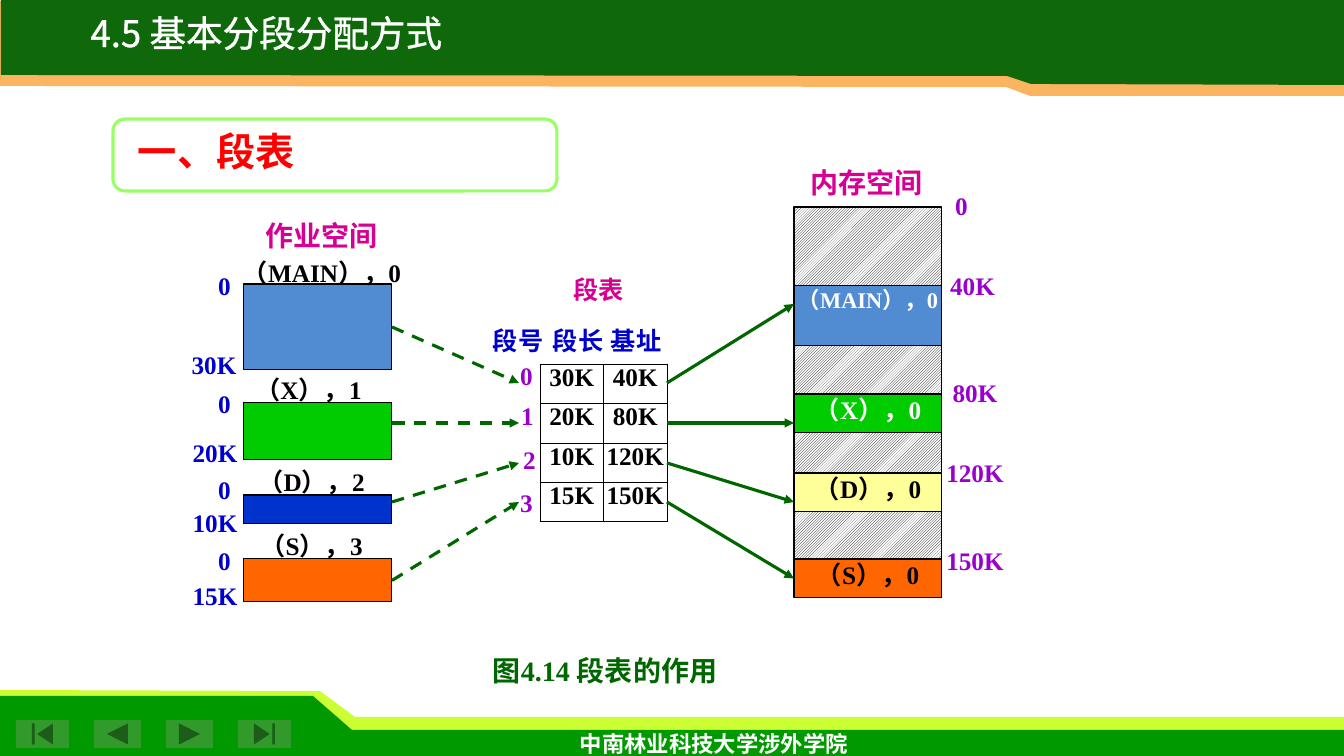
from lxml import etree
from pptx import Presentation
from pptx.dml.color import RGBColor
from pptx.enum.dml import MSO_LINE, MSO_PATTERN
from pptx.enum.shapes import MSO_CONNECTOR, MSO_SHAPE
from pptx.enum.text import MSO_ANCHOR, PP_ALIGN
from pptx.oxml.ns import qn
from pptx.util import Emu, Pt

RECT, ROUNDED = MSO_SHAPE.RECTANGLE, MSO_SHAPE.ROUNDED_RECTANGLE
BUTTONS = [  # left, width, shape
    (16, 53, MSO_SHAPE.ACTION_BUTTON_BEGINNING),
    (94, 47, MSO_SHAPE.ACTION_BUTTON_BACK_OR_PREVIOUS),
    (166, 47, MSO_SHAPE.ACTION_BUTTON_FORWARD_OR_NEXT),
    (238, 53, MSO_SHAPE.ACTION_BUTTON_END),
]
STRAIGHT, DASH = MSO_CONNECTOR.STRAIGHT, MSO_LINE.DASH
HATCH = MSO_PATTERN.LIGHT_UPWARD_DIAGONAL
CENTER, LEFT, TOP = PP_ALIGN.CENTER, PP_ALIGN.LEFT, MSO_ANCHOR.TOP
LEFT_SIDE, RIGHT_SIDE = 1, 3

BLACK = RGBColor(0x00, 0x00, 0x00)
WHITE = RGBColor(0xFF, 0xFF, 0xFF)
LIME = RGBColor(0xCC, 0xFF, 0x33)
FOOTER_GREEN = RGBColor(0x00, 0x99, 0x00)
BUTTON_GREEN = RGBColor(0x32, 0x9A, 0x2A)
ORANGE_BAND = RGBColor(0xFB, 0xB5, 0x61)
HEADER_GREEN = RGBColor(0x0F, 0x69, 0x0B)
FRAME_GREEN = RGBColor(0x99, 0xFF, 0x66)
ARROW_GREEN = RGBColor(0x00, 0x66, 0x00)
SKY = RGBColor(0x51, 0x8C, 0xD3)
GREEN = RGBColor(0x00, 0xCC, 0x00)
COBALT = RGBColor(0x00, 0x33, 0xCC)
ORANGE = RGBColor(0xFF, 0x66, 0x00)
CREAM = RGBColor(0xFF, 0xFF, 0x99)
MAGENTA = RGBColor(0xD6, 0x00, 0x93)
BLUE = RGBColor(0x00, 0x00, 0xCC)
PURPLE = RGBColor(0x99, 0x00, 0xCC)
RED = RGBColor(0xFF, 0x00, 0x00)

SERIF, HAN = "Times New Roman", "Noto Sans CJK SC"


def px(value):
    return Emu(round(value * 914400 / 100.8))


class Page:
    """Holds the text style and the slide being drawn."""

    def __init__(self, deck):
        self.style = {"size": Pt(18), "bold": True, "name": SERIF}
        self.page = deck.slides.add_slide(deck.slide_layouts[6])
        self.shapes = self.page.shapes

    def add_words(self, para, words, color, align=CENTER, **formats):
        para.alignment = align
        span = para.add_run()
        span.text = words
        for key, value in {**self.style, **formats}.items():
            setattr(span.font, key, value)
        span.font.color.rgb = color
        etree.SubElement(span.font._element, qn("a:ea"), typeface=HAN)

    def text(self, left, top, width, height, words, color, wrap=True, **formats):
        box = self.shapes.add_textbox(px(left), px(top), px(width), px(height))
        box.text_frame.word_wrap = wrap
        self.add_words(box.text_frame.paragraphs[0], words, color, **formats)
        return box

    def paint(self, shape, fill, line=None, weight=0.75):
        shape.shadow.inherit = False
        if fill == HATCH:
            shape.fill.patterned()
            shape.fill.pattern = HATCH
            shape.fill.fore_color.rgb = BLACK
            shape.fill.back_color.rgb = WHITE
        else:
            shape.fill.solid()
            shape.fill.fore_color.rgb = fill
        if line is None:
            shape.line.fill.background()
        else:
            shape.line.color.rgb = line
            shape.line.width = Pt(weight)
        return shape

    def shape(self, kind, left, top, width, height, fill, line=None, weight=0.75):
        box = self.shapes.add_shape(kind, px(left), px(top), px(width), px(height))
        return self.paint(box, fill, line, weight)

    def outline(self, points, fill):
        corners = [(px(x), px(y)) for x, y in points]
        builder = self.shapes.build_freeform(*corners[0])
        builder.add_line_segments(corners[1:], close=True)
        self.paint(builder.convert_to_shape(), fill)

    def arrow(self, start, end, dashed=False):
        line = self.shapes.add_connector(STRAIGHT, *map(px, start + end))
        line.line.color.rgb = ARROW_GREEN
        line.line.width = Pt(2.25)
        if dashed:
            line.line.dash_style = DASH
        etree.SubElement(line.line._get_or_add_ln(), qn("a:tailEnd"), type="triangle")
        etree.SubElement(line._element.spPr, qn("a:effectLst"))
        return line

    def table(self, left, top, width, height, rows):
        table = self.shapes.add_table(len(rows), len(rows[0]), px(left), px(top),
                                      px(width), px(height)).table
        table.first_row = table.horz_banding = False
        for r, row in enumerate(rows):
            for c, words in enumerate(row):
                self.cell(table.cell(r, c), words)

    def cell(self, cell, words):
        for side in ("left", "right", "top", "bottom"):
            setattr(cell, f"margin_{side}", 0)
        cell.vertical_anchor = TOP
        borders = cell._tc.get_or_add_tcPr()
        for tag in ("a:lnL", "a:lnR", "a:lnT", "a:lnB"):
            border = etree.SubElement(borders, qn(tag), w=str(Pt(0.75)))
            paint = etree.SubElement(border, qn("a:solidFill"))
            etree.SubElement(paint, qn("a:srgbClr"), val=str(BLACK))
        cell.fill.background()
        self.add_words(cell.text_frame.paragraphs[0], words, BLACK)


def main():
    deck = Presentation()
    deck.slide_width, deck.slide_height = px(1344), px(756)
    page = Page(deck)

    # Footer and header bands
    page.outline([(0, 746), (1344, 746), (1344, 717), (355, 717), (320, 691), (0, 690)], LIME)
    page.outline([(0, 756), (1344, 756), (1344, 730), (352, 730), (313, 696), (0, 696)],
                 FOOTER_GREEN)
    for left, width, kind in BUTTONS:
        page.shape(kind, left, 720, width, 28, BUTTON_GREEN)
    page.outline([(1344, 1), (0, 1), (0, 86), (1006, 87), (1030, 96), (1344, 96)], ORANGE_BAND)
    page.outline([(1344, 0), (1, 0), (1, 75), (1007, 76), (1031, 84), (1344, 85)], HEADER_GREEN)
    page.text(490, 725, 448, 37, "中南林业科技大学涉外学院", WHITE, size=Pt(16), name="Lato")

    # Job space
    jobs = [page.shape(RECT, 244, top, 148, height, fill, BLACK)
            for top, height, fill in [(284, 86, SKY), (403, 57, GREEN),
                                      (495, 29, COBALT), (559, 43, ORANGE)]]
    frame = page.text(211, 209, 222, 99, "作业空间", MAGENTA, size=Pt(20)).text_frame
    page.add_words(frame.add_paragraph(), "（MAIN），0", BLACK)
    for para in frame.paragraphs:
        para.line_spacing = 1.15
    for top in (265, 383, 469, 540):
        page.text(193, top, 63, 59, "0", BLUE)
    for left, top, size in [(161, 344, "30K"), (162, 432, "20K"),
                            (162, 502, "10K"), (162, 575, "15K")]:
        page.text(left, top, 106, 59, size, BLUE)
    for left, top, name in [(239, 369, "（X），1"), (242, 461, "（D），2"), (242, 525, "（S），3")]:
        page.text(left, top, 139, 59, name, BLACK)

    # Segment table
    page.text(546, 269, 106, 59, "段表", MAGENTA)
    page.table(540, 364, 127, 158, [("30K", "40K"), ("20K", "80K"),
                                    ("10K", "120K"), ("15K", "150K")])
    for left, heading in [(465, "段号"), (525, "段长"), (583, "基址")]:
        page.text(left, 320, 106, 59, heading, BLUE)
    for number, (left, top) in enumerate([(495, 355), (496, 395), (498, 439), (495, 482)]):
        page.text(left, top, 63, 59, str(number), PURPLE)

    # Memory space
    page.text(782, 161, 169, 59, "内存空间", MAGENTA, size=Pt(20))
    edges = [207, 286, 346, 394, 433, 473, 512, 559, 598]
    segments = [("（MAIN），0", SKY, WHITE, 16), ("（X），0", GREEN, WHITE, 18),
                ("（D），0", CREAM, BLACK, 18), ("（S），0", ORANGE, BLACK, 18)]
    for index, (top, bottom) in enumerate(zip(edges, edges[1:])):
        name, fill, color, size = segments[index // 2]
        used = index % 2 == 1
        block = page.shape(RECT, 794, top, 148, bottom - top, fill if used else HATCH, BLACK)
        if used:
            frame = block.text_frame
            frame.margin_left = frame.margin_right = frame.margin_top = frame.margin_bottom = 0
            frame.vertical_anchor = TOP
            page.add_words(frame.paragraphs[0], name, color, size=Pt(size))
    for left, top, width, address in [(930, 185, 63, "0"), (930, 265, 85, "40K"),
                                      (937, 372, 76, "80K"), (922, 452, 106, "120K"),
                                      (922, 540, 106, "150K")]:
        page.text(left, top, width, 59, address, PURPLE)

    # Arrows from jobs to table rows to memory
    row_middles = [383, 423, 463, 502]
    for job, job_y, row_y, memory_y in zip(jobs, (325, 423, 502, 581), row_middles,
                                           (304, 423, 502, 581)):
        lookup = page.arrow((392, job_y), (519, row_y), dashed=True)
        target = page.arrow((667, row_y), (794, memory_y))
        if job in (jobs[0], jobs[-1]):
            lookup.begin_connect(job, RIGHT_SIDE)
    target.end_connect(block, LEFT_SIDE)

    # Caption, section heading and title
    page.text(457, 649, 296, 47, "图4.14 段表的作用", ARROW_GREEN, size=Pt(20))
    page.shape(ROUNDED, 113, 119, 444, 72, WHITE, FRAME_GREEN, 2.25)
    page.text(128, 122, 500, 57, "一、段表", RED, align=LEFT, size=Pt(28))
    title = page.text(40, 14, 453, 46, "4.5 基本分段分配方式", WHITE, wrap=False,
                      size=Pt(26.1), bold=False, name=HAN)
    para = title.text_frame.paragraphs[0]
    para.line_spacing = 0.8
    stroke = etree.Element(qn("a:ln"), w=str(Pt(1.5)))
    paint = etree.SubElement(stroke, qn("a:solidFill"))
    etree.SubElement(paint, qn("a:srgbClr"), val=str(WHITE))
    para.runs[0].font._element.insert(0, stroke)

    deck.save("out.pptx")


if __name__ == "__main__":
    main()
